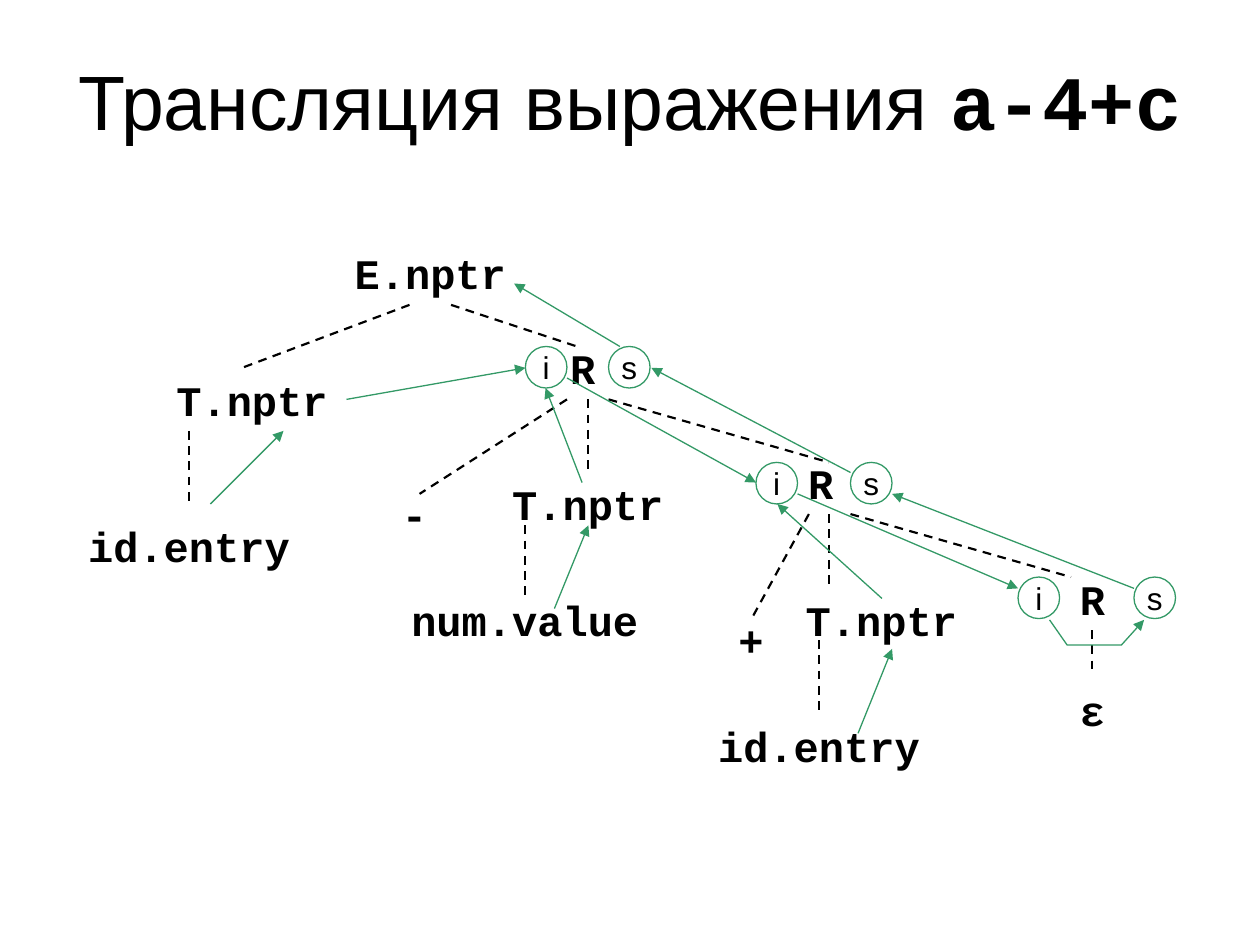
from itertools import chain

from lxml.etree import SubElement
from pptx import Presentation
from pptx.dml.color import RGBColor
from pptx.enum.dml import MSO_LINE
from pptx.enum.shapes import MSO_CONNECTOR, MSO_SHAPE
from pptx.enum.text import MSO_ANCHOR, PP_ALIGN
from pptx.oxml.ns import qn
from pptx.util import Inches, Pt

BLACK = RGBColor(0x00, 0x00, 0x00)
GREEN = RGBColor(0x33, 0x99, 0x66)

TITLE_FONT = {"name": "Arial", "size": Pt(44), "bold": False}
CODE_TITLE_FONT = {"name": "Courier New", "size": Pt(44), "bold": True}
NODE_FONT = {"name": "Courier New", "size": Pt(24), "bold": True}
ATTRIBUTE_FONT = {"name": "Arial", "size": Pt(18), "bold": False}
LABEL_FRAME = {
    "word_wrap": False,
    "vertical_anchor": MSO_ANCHOR.MIDDLE,
    "margin_left": Inches(0.1),
    "margin_right": Inches(0.1),
    "margin_top": Inches(0.05),
    "margin_bottom": Inches(0.05),
}
TITLE_FRAME = {**LABEL_FRAME, "word_wrap": True}
BRANCH_LINE = {"width": Pt(1.25), "dash_style": MSO_LINE.DASH}
FLOW_LINE = {"width": Pt(0.75)}

TITLE_BOX = (0.5, 0.17, 9, 1.25)
TREE_BOX = (0.5, 2, 9, 4.25)
CIRCLE_SIZE = 0.33

NODES = [
    ("E.nptr", 2.58, 0, 0.67, 0.33),
    ("T.nptr", 0.75, 0.92, 1.5, 0.5),
    ("id.entry", 0.75, 2.08, 0.5, 0.5),
    ("R", 3.75, 0.67, 0.75, 0.5),
    ("-", 2.58, 1.83, 0.42, 0.5),
    ("T.nptr", 3.5, 1.75, 1.33, 0.5),
    ("num.value", 3.25, 2.67, 0.83, 0.5),
    ("R", 5.43, 1.58, 1.17, 0.5),
    ("+", 5.25, 2.83, 0.42, 0.5),
    ("T.nptr", 5.83, 2.67, 1.33, 0.5),
    ("id.entry", 5.75, 3.67, 0.5, 0.5),
    ("R", 7.42, 2.5, 1.5, 0.5),
    ("ε", 7.92, 3.42, 0.5, 0.42),
]
BRANCHES = [
    ((2.75, 0.42), (1.42, 0.92)),
    ((3.08, 0.42), (4.08, 0.75)),
    ((1, 1.42), (1, 2)),
    ((4, 1.17), (2.83, 1.92)),
    ((4.17, 1.17), (4.17, 1.75)),
    ((4.33, 1.17), (6.08, 1.67)),
    ((3.67, 2.17), (3.67, 2.75)),
    ((5.92, 2.08), (5.46, 2.92)),
    ((6.08, 2.08), (6.08, 2.67)),
    ((6.25, 2.08), (8, 2.58)),
    ((6, 3.08), (6, 3.67)),
    ((8.17, 3), (8.17, 3.33)),
]
ATTRIBUTE_PAIRS = [(3.67, 4.33, 0.75), (5.5, 6.25, 1.67), (7.58, 8.5, 2.58)]
FLOWS = [
    ((1.17, 2), (1.75, 1.42)),
    ((2.25, 1.17), (3.67, 0.92)),
    ((3.9, 2.83), (4.17, 2.17)),
    ((4.12, 1.83), (3.83, 1.08)),
    ((4, 1), (5.5, 1.83)),
    ((6.31, 3.82), (6.58, 3.15)),
    ((6.5, 2.75), (5.67, 2)),
    ((5.83, 1.92), (7.58, 2.67)),
    ((8.5, 2.67), (6.58, 1.92)),
    ((6.25, 1.75), (4.67, 0.92)),
    ((4.42, 0.75), (3.58, 0.25)),
]
TURN = [(7.83, 2.92), (7.97, 3.12), (8.4, 3.12), (8.58, 2.92)]


def apply_format(target, values):
    """Set each named attribute of the target."""
    for name, value in values.items():
        setattr(target, name, value)


def write_text(shape, spans, frame_format):
    """Fill a shape with one centred paragraph of formatted spans."""
    apply_format(shape.text_frame, frame_format)
    para = shape.text_frame.paragraphs[0]
    para.alignment = PP_ALIGN.CENTER
    for text, font_format in spans:
        span = para.add_run()
        span.text = text
        apply_format(span.font, font_format)
        span.font.color.rgb = BLACK


def inside(box, x, y):
    """Return the page position of a point given relative to a box."""
    return Inches(box[0] + x), Inches(box[1] + y)


def style_line(shape, color, line_format, arrow=False):
    """Format a line and optionally end it with a triangle."""
    shape.line.color.rgb = color
    apply_format(shape.line, line_format)
    if arrow:
        outline = shape.line._get_or_add_ln()
        SubElement(outline, qn("a:tailEnd"), type="triangle")


def add_line(page, box, start, end, color, line_format, arrow=False):
    """Connect two points of the box with a straight line."""
    line = page.shapes.add_connector(
        MSO_CONNECTOR.STRAIGHT, *inside(box, *start), *inside(box, *end)
    )
    style_line(line, color, line_format, arrow)
    SubElement(line._element.spPr, qn("a:effectLst"))


def add_label(page, kind, position, size, text, font_format):
    """Add an unfilled shape whose text may run past its sides."""
    label = page.shapes.add_shape(kind, *position, *map(Inches, size))
    label.shadow.inherit = False
    label.fill.background()
    label.line.fill.background()
    write_text(label, [(text, font_format)], LABEL_FRAME)
    return label


def add_title(page, box):
    """Place the heading in the title placeholder."""
    title = page.shapes.title
    names = ("left", "top", "width", "height")
    apply_format(title, dict(zip(names, map(Inches, box))))
    spans = [("Трансляция выражения ", TITLE_FONT), ("a-4+c", CODE_TITLE_FONT)]
    write_text(title, spans, TITLE_FRAME)


def add_parse_tree(page, box):
    """Draw the grammar symbols and the dashed branches."""
    for text, x, y, *size in NODES:
        position = inside(box, x, y)
        add_label(page, MSO_SHAPE.RECTANGLE, position, size, text, NODE_FONT)
    for start, end in BRANCHES:
        add_line(page, box, start, end, BLACK, BRANCH_LINE)


def add_attribute_flow(page, box):
    """Draw the attribute circles and the arrows that pass values."""
    circles = chain.from_iterable(
        (("i", left, y), ("s", right, y)) for left, right, y in ATTRIBUTE_PAIRS
    )
    size = (CIRCLE_SIZE, CIRCLE_SIZE)
    for text, x, y in circles:
        position = inside(box, x, y)
        circle = add_label(
            page, MSO_SHAPE.OVAL, position, size, text, ATTRIBUTE_FONT
        )
        style_line(circle, GREEN, FLOW_LINE)
    for start, end in FLOWS:
        add_line(page, box, start, end, GREEN, FLOW_LINE, arrow=True)
    points = [inside(box, *point) for point in TURN]
    builder = page.shapes.build_freeform(*points[0])
    builder.add_line_segments(points[1:], close=False)
    turn = builder.convert_to_shape()
    turn.shadow.inherit = False
    turn.fill.background()
    style_line(turn, GREEN, FLOW_LINE, arrow=True)


def main():
    """Build and save the deck."""
    deck = Presentation()
    deck.slide_width, deck.slide_height = Inches(10), Inches(7.5)
    page = deck.slides.add_slide(deck.slide_layouts.get_by_name("Title Only"))
    add_title(page, TITLE_BOX)
    add_parse_tree(page, TREE_BOX)
    add_attribute_flow(page, TREE_BOX)
    deck.save("out.pptx")


if __name__ == "__main__":
    main()
